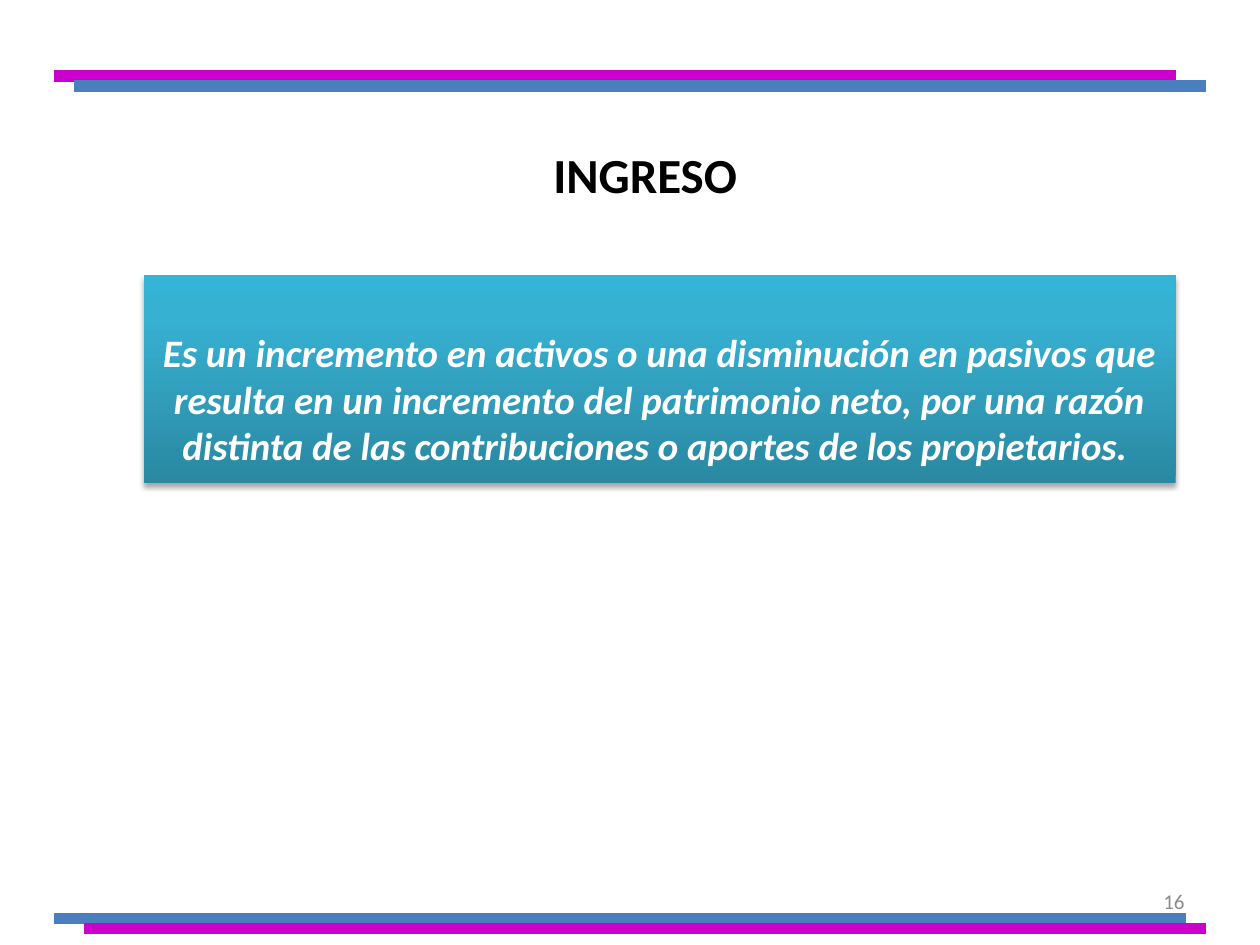
from copy import deepcopy
from dataclasses import dataclass

from lxml.etree import SubElement
from pptx import Presentation
from pptx.dml.color import RGBColor
from pptx.enum.shapes import MSO_CONNECTOR, MSO_SHAPE
from pptx.enum.text import MSO_ANCHOR, PP_ALIGN
from pptx.oxml.ns import qn
from pptx.util import Inches, Pt


@dataclass(frozen=True)
class Theme:
    font: str = "Calibri"
    magenta: str = "CC00CC"
    blue: str = "4B7EBC"
    black: str = "000000"
    white: str = "FFFFFF"
    grey: str = "8C8C8C"
    panel_stops: tuple = ((0, "2A88A2"), (0.8, "37B1D2"), (1, "34B4D6"))
    title_size: float = 28
    body_size: float = 22.2
    number_size: float = 12
    rule_width: float = 6.75


THEME = Theme()

DEFINITION = (
    "Es un incremento en activos o una disminución en pasivos que resulta "
    "en un incremento del patrimonio neto, por una razón distinta de las "
    "contribuciones o aportes de los propietarios. "
)


def write_text(shape, text, size, color, alignment, anchor, bold=False, italic=False):
    frame = shape.text_frame
    frame.word_wrap = True
    frame.vertical_anchor = anchor
    paragraph = frame.paragraphs[0]
    paragraph.alignment = alignment
    run = paragraph.add_run()
    run.text = text
    font = run.font
    font.name = THEME.font
    font.size = Pt(size)
    font.bold = bold
    font.italic = italic
    font.color.rgb = RGBColor.from_string(color)


def add_rule(slide, left, right, y, color):
    rule = slide.shapes.add_connector(
        MSO_CONNECTOR.STRAIGHT, Inches(left), Inches(y), Inches(right), Inches(y)
    )
    rule.line.color.rgb = RGBColor.from_string(color)
    rule.line.width = Pt(THEME.rule_width)
    SubElement(rule._element.spPr, qn("a:effectLst"))


def fill_gradient(shape, stops):
    """Fill with the given stops, running from bottom to top."""
    fill = shape.fill
    fill.gradient()
    fill.gradient_angle = 90
    stop_list = shape._element.spPr.find(qn("a:gradFill")).find(qn("a:gsLst"))
    stop_list.append(deepcopy(stop_list[-1]))
    for stop, (position, color) in zip(fill.gradient_stops, stops):
        stop.position = position
        stop.color.rgb = RGBColor.from_string(color)


def add_shadow(shape):
    shape.shadow.inherit = False
    effects = shape._element.spPr.find(qn("a:effectLst"))
    shadow = SubElement(
        effects, qn("a:outerShdw"), blurRad=str(Pt(3.1)), dist=str(Pt(1.8)),
        dir="5400000", rotWithShape="0",
    )
    color = SubElement(shadow, qn("a:srgbClr"), val=THEME.black)
    SubElement(color, qn("a:alpha"), val="35000")


def add_definition(slide):
    panel = slide.shapes.add_shape(
        MSO_SHAPE.RECTANGLE, Inches(1.14), Inches(2.18), Inches(8.19), Inches(1.65)
    )
    fill_gradient(panel, THEME.panel_stops)
    panel.line.fill.background()
    add_shadow(panel)
    panel.text_frame.margin_top = Inches(0.43)
    write_text(panel, DEFINITION, THEME.body_size, THEME.white,
               PP_ALIGN.CENTER, MSO_ANCHOR.TOP, bold=True, italic=True)


def add_title(slide):
    title = slide.shapes.title
    title.left, title.top = Inches(0.83), Inches(0.92)
    title.width, title.height = Inches(8.58), Inches(0.92)
    write_text(title, "INGRESO", THEME.title_size, THEME.black,
               PP_ALIGN.CENTER, MSO_ANCHOR.MIDDLE, bold=True)


def add_slide_number(slide):
    number = slide.shapes.add_textbox(
        Inches(7.17), Inches(6.95), Inches(2.33), Inches(0.4)
    )
    write_text(number, "16", THEME.number_size, THEME.grey,
               PP_ALIGN.RIGHT, MSO_ANCHOR.MIDDLE)


def main():
    presentation = Presentation()
    presentation.slide_width = Inches(10)
    presentation.slide_height = Inches(7.5)
    slide = presentation.slides.add_slide(presentation.slide_layouts[5])

    add_slide_number(slide)
    for left, right, y, color in (
        (0.43, 9.33, 0.6, THEME.magenta),
        (0.59, 9.57, 0.68, THEME.blue),
        (0.43, 9.41, 7.29, THEME.blue),
        (0.67, 9.57, 7.37, THEME.magenta),
    ):
        add_rule(slide, left, right, y, color)
    add_definition(slide)
    add_title(slide)

    presentation.save("out.pptx")


if __name__ == "__main__":
    main()
